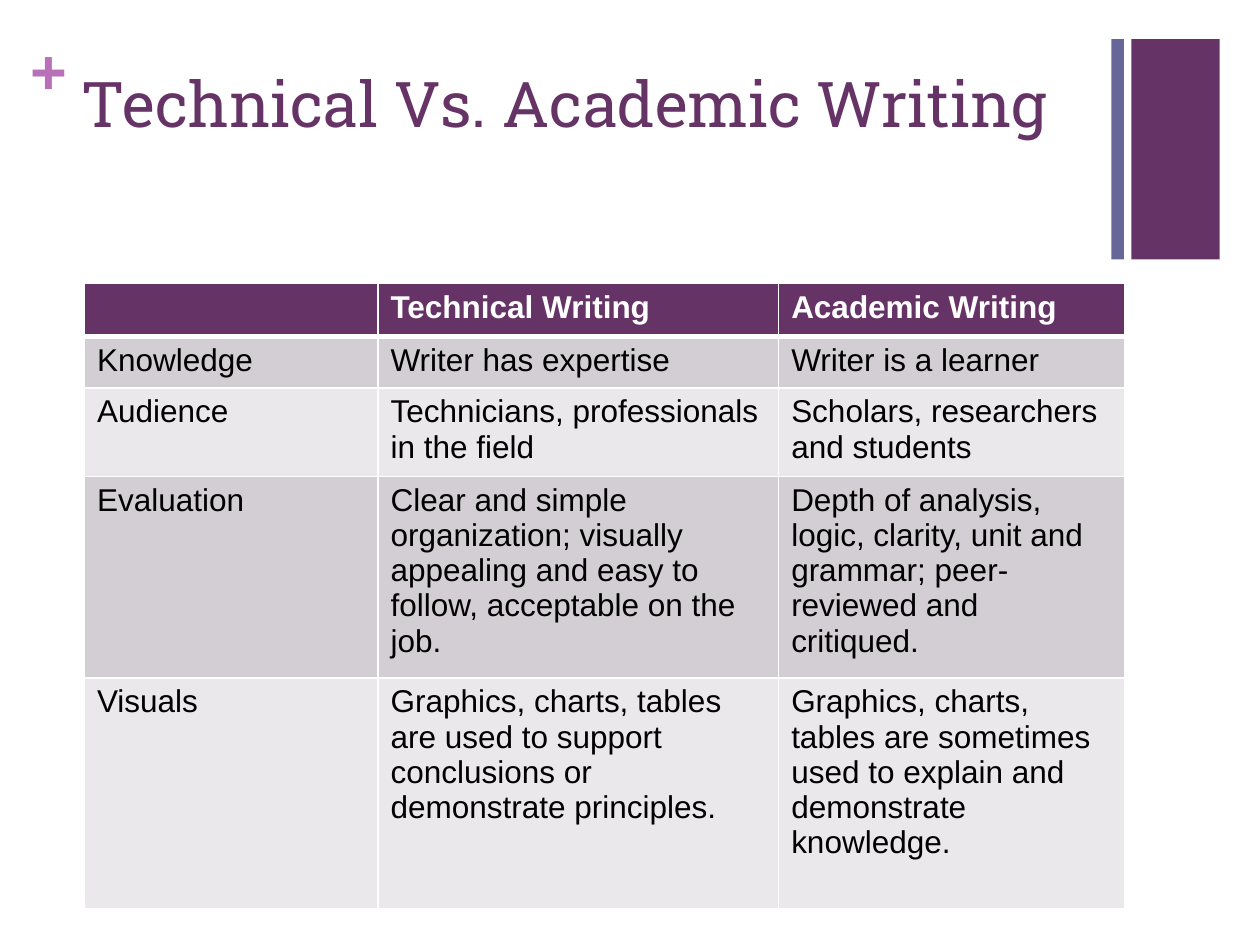
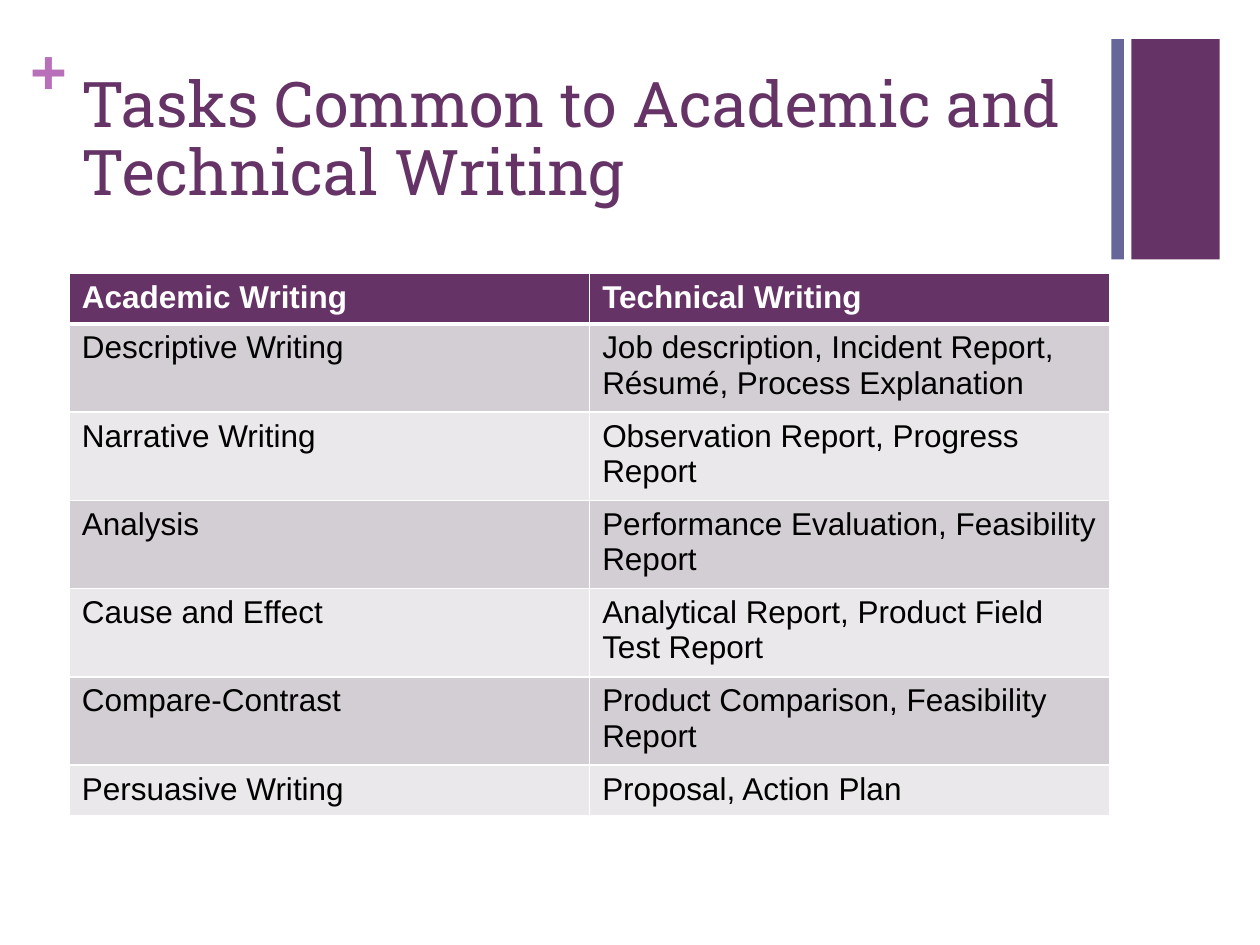
from lxml import etree
from pptx import Presentation
from pptx.dml.color import RGBColor
from pptx.enum.shapes import MSO_SHAPE
from pptx.enum.text import MSO_ANCHOR, MSO_AUTO_SIZE, PP_ALIGN
from pptx.oxml.ns import qn
from pptx.util import Inches, Pt

RECTANGLE = MSO_SHAPE.RECTANGLE
TOP = MSO_ANCHOR.TOP
LEFT = PP_ALIGN.LEFT
NO_AUTOFIT = MSO_AUTO_SIZE.NONE
TITLE_ONLY = 5

PURPLE, SLATE, ORCHID = "663366", "666699", "B870B8"
WHITE, BLACK = "FFFFFF", "000000"
ROW_FILLS = ("D3CED3", "EAE8EA")
TITLE_FONT, BODY_FONT = "Roboto Slab", "Arial"

COMPARISON = [
    ("", "Technical Writing", "Academic Writing"),
    ("Knowledge", "Writer has expertise", "Writer is a learner"),
    ("Audience", "Technicians, professionals in the field",
     "Scholars, researchers and students"),
    ("Evaluation",
     "Clear and simple organization; visually appealing and easy to follow, "
     "acceptable on the job.",
     "Depth of analysis, logic, clarity, unit and grammar; peer-reviewed and critiqued."),
    ("Visuals",
     "Graphics, charts, tables are used to support conclusions or demonstrate principles.",
     "Graphics, charts, tables are sometimes used to explain and demonstrate knowledge."),
]
COMMON_TASKS = [
    ("Academic Writing", "Technical Writing"),
    ("Descriptive Writing",
     "Job description, Incident Report, Résumé, Process Explanation"),
    ("Narrative Writing", "Observation Report, Progress Report"),
    ("Analysis", "Performance Evaluation, Feasibility Report"),
    ("Cause and Effect", "Analytical Report, Product Field Test Report"),
    ("Compare-Contrast", "Product Comparison, Feasibility Report"),
    ("Persuasive Writing", "Proposal, Action Plan"),
]


def rgb(value):
    return RGBColor.from_string(value)


def add_run(paragraph, text, font, size, color, bold=False):
    run = paragraph.add_run()
    run.text = text
    run.font.name = font
    run.font.size = Pt(size)
    run.font.bold = bold
    run.font.color.rgb = rgb(color)


def add_band(slide, left, width, color):
    band = slide.shapes.add_shape(
        RECTANGLE, Inches(left), Inches(0.31), Inches(width), Inches(1.75))
    band.shadow.inherit = False
    band.fill.solid()
    band.fill.fore_color.rgb = rgb(color)
    band.line.fill.background()


def add_plus(slide):
    plus = slide.shapes.add_textbox(
        Inches(0.24), Inches(0.25), Inches(0.29), Inches(0.61)).text_frame
    plus.margin_left = plus.margin_right = plus.margin_top = plus.margin_bottom = 0
    add_run(plus.paragraphs[0], "+", BODY_FONT, 36, ORCHID, bold=True)


def set_title(slide, text):
    title = slide.shapes.title
    title.left, title.top = Inches(0.55), Inches(0.53)
    title.width, title.height = Inches(8.26), Inches(1.22)
    frame = title.text_frame
    frame.word_wrap = True
    frame.auto_size = NO_AUTOFIT
    frame.vertical_anchor = TOP
    paragraph = frame.paragraphs[0]
    paragraph.alignment = LEFT
    paragraph.line_spacing = 0.9
    add_run(paragraph, text, TITLE_FONT, 36, PURPLE)


def add_titled_slide(presentation, title):
    slide = presentation.slides.add_slide(presentation.slide_layouts[TITLE_ONLY])
    add_band(slide, 8.98, 0.7, PURPLE)
    add_plus(slide)
    add_band(slide, 8.82, 0.1, SLATE)
    set_title(slide, title)
    return slide


def set_borders(cell, top, bottom):
    """Draw white cell borders; top and bottom widths are in points."""
    properties = cell._tc.get_or_add_tcPr()
    for side, width in (("L", 1), ("R", 1), ("T", top), ("B", bottom)):
        line = etree.SubElement(properties, qn(f"a:ln{side}"), w=str(Pt(width)))
        fill = etree.SubElement(line, qn("a:solidFill"))
        etree.SubElement(fill, qn("a:srgbClr"), val=WHITE)


def add_writing_table(slide, left, top, column_widths, row_heights, content):
    table = slide.shapes.add_table(
        len(content), len(column_widths), Inches(left), Inches(top),
        Inches(sum(column_widths)), Inches(sum(row_heights))).table
    for column, width in zip(table.columns, column_widths):
        column.width = Inches(width)
    for row_index, (row, height, texts) in enumerate(
            zip(table.rows, row_heights, content)):
        row.height = Inches(height)
        header = row_index == 0
        fill = PURPLE if header else ROW_FILLS[(row_index - 1) % 2]
        for cell, text in zip(row.cells, texts):
            set_borders(cell, top=3 if row_index == 1 else 1,
                        bottom=3 if header else 1)
            cell.fill.solid()
            cell.fill.fore_color.rgb = rgb(fill)
            if text:
                add_run(cell.text_frame.paragraphs[0], text, BODY_FONT, 18,
                        WHITE if header else BLACK, bold=header)


def main():
    presentation = Presentation()
    presentation.slide_width, presentation.slide_height = Inches(10), Inches(7.5)

    comparison = add_titled_slide(presentation, "Technical Vs. Academic Writing")
    add_writing_table(comparison, 0.67, 2.25, [2.33, 3.18, 2.75],
                      [0.42, 0.41, 0.66, 1.5, 1.83], COMPARISON)

    tasks = add_titled_slide(
        presentation, "Tasks Common to Academic and Technical Writing")
    add_writing_table(tasks, 0.55, 2.17, [4.13] * 2,
                      [0.4] + [0.66] * 5 + [0.4], COMMON_TASKS)

    presentation.save("out.pptx")


if __name__ == "__main__":
    main()
